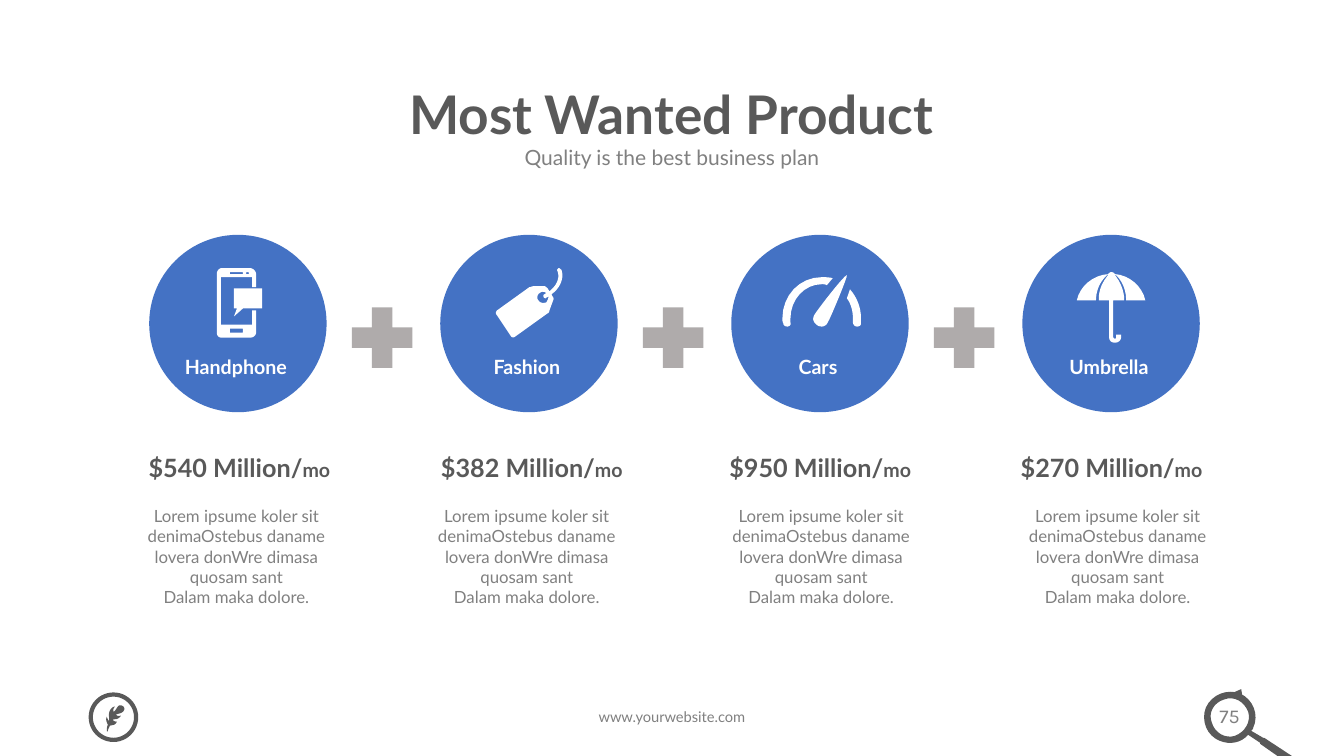
import pptx
import pptx.dml.color
import pptx.enum.shapes
import pptx.enum.text
import pptx.util

Inches = pptx.util.Inches
RGBColor = pptx.dml.color.RGBColor
MSO_SHAPE = pptx.enum.shapes.MSO_SHAPE
ANCHOR = pptx.enum.text.MSO_ANCHOR
AUTO_SIZE = pptx.enum.text.MSO_AUTO_SIZE

DARK = RGBColor(0x59, 0x59, 0x59)
GRAY = RGBColor(0x80, 0x80, 0x80)
SILVER = RGBColor(0xAF, 0xAB, 0xAB)
BLUE = RGBColor(0x44, 0x72, 0xC4)
WHITE = RGBColor(0xFF, 0xFF, 0xFF)

FIRST_CIRCLE, LAST_CIRCLE = 1.48, 10.14
PITCH = (LAST_CIRCLE - FIRST_CIRCLE) / 3
CURVE_STEPS = 8
BODY = ["Lorem ipsume koler sit denimaOstebus daname lovera donWre dimasa quosam sant",
        "Dalam maka dolore."]

# Outlines in slide inches: M starts a contour, L adds lines, C adds cubic curves.
PHONE = """M 2.5 3.22 L 2.19 3.22 2.19 2.75 2.5 2.75 2.5 2.85 2.54 2.85 2.54 2.72
C 2.54 2.69 2.51 2.66 2.48 2.66 L 2.2 2.66 C 2.17 2.66 2.15 2.69 2.15 2.72
L 2.15 3.3 C 2.15 3.33 2.17 3.35 2.2 3.35 L 2.48 3.35 C 2.51 3.35 2.54 3.33 2.54 3.3
L 2.54 3.08 2.5 3.08
M 2.45 2.7 C 2.46 2.7 2.47 2.7 2.47 2.71 2.47 2.72 2.46 2.72 2.45 2.72
2.45 2.72 2.44 2.72 2.44 2.71 2.44 2.7 2.45 2.7 2.45 2.7
M 2.28 2.7 L 2.41 2.7 2.41 2.72 2.28 2.72
M 2.41 3.3 L 2.28 3.3 2.28 3.26 2.41 3.26"""
SPEECH = "M 2.32 3.06 L 2.35 3.06 2.32 3.14 2.41 3.06 2.6 3.06 2.6 2.86 2.32 2.86"
TAG = """M 5.42 3 C 5.39 3.01 5.36 3.01 5.34 2.98 5.32 2.96 5.33 2.92 5.35 2.91
5.37 2.89 5.4 2.89 5.42 2.91 5.41 2.91 5.4 2.92 5.4 2.92 5.39 2.92 5.39 2.93 5.39 2.94
5.39 2.95 5.4 2.96 5.41 2.96 5.41 2.96 5.42 2.96 5.42 2.95 5.43 2.95 5.43 2.95 5.44 2.94
5.44 2.96 5.43 2.98 5.42 3
M 5.57 2.68 C 5.56 2.67 5.55 2.66 5.54 2.66 5.53 2.67 5.52 2.68 5.53 2.69
5.56 2.78 5.5 2.85 5.45 2.89 L 5.43 2.86 C 5.42 2.85 5.41 2.84 5.4 2.84 L 5.29 2.84
C 5.28 2.84 5.26 2.85 5.25 2.85 L 4.93 3.08 C 4.92 3.09 4.91 3.11 4.93 3.13 L 5.07 3.34
C 5.08 3.35 5.1 3.35 5.11 3.34 L 5.43 3.11 C 5.44 3.11 5.45 3.09 5.45 3.08 L 5.49 2.97
C 5.49 2.96 5.49 2.95 5.48 2.94 L 5.47 2.92 C 5.54 2.87 5.6 2.78 5.57 2.68"""
GAUGE = """M 8.43 2.87 C 8.42 2.9 8.41 2.93 8.4 2.96 8.44 3.01 8.46 3.09 8.46 3.16
8.46 3.18 8.46 3.19 8.46 3.2 8.46 3.22 8.48 3.24 8.5 3.24 8.52 3.24 8.54 3.23 8.54 3.21
8.54 3.19 8.54 3.18 8.54 3.16 8.54 3.05 8.5 2.95 8.43 2.87
M 8.15 2.82 C 8.17 2.82 8.19 2.82 8.2 2.83 8.22 2.81 8.24 2.78 8.26 2.76
8.22 2.75 8.19 2.75 8.15 2.75 7.93 2.75 7.76 2.93 7.76 3.16 7.76 3.18 7.76 3.19 7.77 3.21
7.77 3.23 7.79 3.24 7.81 3.24 7.83 3.24 7.85 3.22 7.84 3.2 7.84 3.19 7.84 3.18 7.84 3.16
7.84 2.97 7.98 2.82 8.15 2.82
M 8.08 3.12 C 8.05 3.17 8.07 3.2 8.11 3.23 8.15 3.25 8.19 3.24 8.21 3.2
8.24 3.15 8.41 2.74 8.4 2.73 8.38 2.72 8.11 3.07 8.08 3.12"""
UMBRELLA = """M 11.17 2.98 L 11.36 2.98 C 11.33 2.84 11.2 2.73 11.06 2.72
11.05 2.71 11.04 2.7 11.02 2.7 11.01 2.7 11 2.71 10.99 2.72 10.84 2.73 10.71 2.84 10.68 2.98
L 10.87 2.98 C 10.87 2.82 10.97 2.74 10.99 2.72 L 10.99 2.73 C 10.88 2.86 10.9 2.98 10.9 2.98
L 11 2.98 11 3.34 C 11 3.38 11.02 3.4 11.06 3.4 11.09 3.4 11.12 3.38 11.12 3.34
L 11.12 3.32 11.07 3.32 11.07 3.34 C 11.07 3.35 11.07 3.36 11.06 3.36
11.05 3.36 11.04 3.35 11.04 3.34 L 11.04 2.98 11.15 2.98
C 11.15 2.98 11.16 2.86 11.06 2.73 L 11.06 2.72 C 11.08 2.74 11.17 2.82 11.17 2.98"""
MAGNIFIER = """M 12.25 7.3 C 12.15 7.33 12.05 7.27 12.02 7.17 11.98 7.07 12.04 6.97 12.14 6.94
12.24 6.9 12.34 6.96 12.38 7.06 12.41 7.16 12.35 7.26 12.25 7.3
M 12.92 7.57 C 12.89 7.55 12.54 7.32 12.54 7.32 L 12.53 7.32 12.41 7.25
C 12.42 7.24 12.43 7.23 12.43 7.22 12.49 7.09 12.43 6.94 12.3 6.88
12.17 6.83 12.02 6.89 11.96 7.02 11.91 7.15 11.97 7.3 12.1 7.35
12.2 7.39 12.31 7.37 12.38 7.29 L 12.5 7.37 12.5 7.38
C 12.5 7.38 12.84 7.62 12.88 7.64 12.9 7.65 12.91 7.64 12.92 7.62 12.92 7.62 12.95 7.6 12.92 7.57"""
FEATHER = """M 1.07 7.25 C 1.07 7.24 1.08 7.22 1.09 7.2 1.12 7.19 1.14 7.2 1.16 7.16
1.14 7.16 1.12 7.15 1.12 7.14 1.12 7.13 1.17 7.15 1.2 7.1 1.16 7.11 1.15 7.09 1.15 7.09
1.17 7.08 1.2 7.08 1.22 7.06 1.23 7.05 1.24 7.03 1.23 7.02 1.23 7.01 1.2 6.99 1.18 7
1.17 7 1.14 7.06 1.13 7.06 1.12 7.06 1.12 7.03 1.14 7.01 1.12 7.01 1.1 7.03 1.09 7.05
1.07 7.08 1.09 7.15 1.08 7.15 1.08 7.16 1.06 7.12 1.06 7.11 1.05 7.13 1.05 7.15 1.07 7.19
1.06 7.21 1.06 7.23 1.06 7.25 1.06 7.26 1.07 7.26 1.07 7.25"""

# Label, price, price left, price width, text left, icon outlines
PRODUCTS = [
    ("Handphone", "$540 Million/", 1.16, 2.43, 1.15, [PHONE, SPEECH]),
    ("Fashion", "$382 Million/", 4.14, 2.27, 4.03, [TAG]),
    ("Cars", "$950 Million/", 7.01, 2.25, 6.95, [GAUGE]),
    ("Umbrella", "$270 Million/", 9.89, 2.27, 9.89, [UMBRELLA]),
]


def contours(outline):
    """Turn an outline into lists of points, with its curves sampled evenly."""
    found, numbers, command = [], [], "M"
    for token in outline.split():
        if token in "MLC":
            command = token
            continue
        numbers.append(float(token))
        if len(numbers) < (6 if command == "C" else 2):
            continue
        pts = list(zip(numbers[::2], numbers[1::2]))
        numbers = []
        if command == "M":
            found.append(pts)
        elif command == "L":
            found[-1] += pts
        else:
            curve = [found[-1][-1]] + pts
            for i in range(1, CURVE_STEPS + 1):
                t = i / CURVE_STEPS
                weights = ((1 - t) ** 3, 3 * t * (1 - t) ** 2, 3 * t * t * (1 - t), t ** 3)
                found[-1].append(tuple(sum(w * pt[axis] for w, pt in zip(weights, curve))
                                       for axis in (0, 1)))
    return [[(Inches(x), Inches(y)) for x, y in pts] for pts in found]


def add_run(p, text, size=12, color=GRAY, bold=False, font="Lato"):
    r = p.add_run()
    r.text = text
    r.font.size = pptx.util.Pt(size)
    r.font.name = font
    r.font.bold = bold
    r.font.color.rgb = color


class SlideBuilder:
    def __init__(self, prs):
        self.s = prs.slides.add_slide(prs.slide_layouts[5])

    def fill_text(self, sp, paragraphs, anchor=ANCHOR.TOP, grow=True, inset=(0.1, 0.05), **fmt):
        """Write paragraphs, each a list of (text, own format) runs."""
        tf = sp.text_frame
        tf.word_wrap = True
        tf.auto_size = AUTO_SIZE.SHAPE_TO_FIT_TEXT if grow else AUTO_SIZE.NONE
        tf.vertical_anchor = anchor
        tf.margin_left = tf.margin_right = Inches(inset[0])
        tf.margin_top = tf.margin_bottom = Inches(inset[1])
        for i, runs in enumerate(paragraphs):
            p = tf.add_paragraph() if i else tf.paragraphs[0]
            p.alignment = pptx.enum.text.PP_ALIGN.CENTER
            for text, own in runs:
                add_run(p, text, **{**fmt, **own})

    def title(self, text, x, y, w, h):
        sp = self.s.shapes.title
        sp.left, sp.top, sp.width, sp.height = map(Inches, (x, y, w, h))
        self.fill_text(sp, [[(text, {})]], ANCHOR.MIDDLE, grow=False, size=38, color=DARK, bold=True)
        sp.text_frame.paragraphs[0].line_spacing = 0.9

    def text(self, paragraphs, x, y, w, h, **fmt):
        sp = self.s.shapes.add_textbox(*map(Inches, (x, y, w, h)))
        self.fill_text(sp, paragraphs, **fmt)

    def paint(self, sp, fill, line=None):
        sp.shadow.inherit = False
        if fill is None:
            sp.fill.background()
        else:
            sp.fill.solid()
            sp.fill.fore_color.rgb = fill
        if line is None:
            sp.line.fill.background()
        else:
            sp.line.color.rgb = line
            sp.line.width = pptx.util.Pt(3)

    def shape(self, kind, x, y, w, h, fill, line=None, adjust=(), rotation=0):
        sp = self.s.shapes.add_shape(kind, *map(Inches, (x, y, w, h)))
        for i, value in enumerate(adjust):
            sp.adjustments[i] = value
        sp.rotation = rotation
        self.paint(sp, fill, line)

    def icon(self, outline, fill):
        first, *others = contours(outline)
        builder = self.s.shapes.build_freeform(*first[0])
        builder.add_line_segments(first[1:], close=True)
        for pts in others:
            builder.move_to(*pts[0])
            builder.add_line_segments(pts[1:], close=True)
        self.paint(builder.convert_to_shape(), fill)


def main():
    prs = pptx.Presentation()
    prs.slide_width, prs.slide_height = Inches(13.33), Inches(7.5)
    slide = SlideBuilder(prs)
    slide.title("Most Wanted Product", 1.66, 0.75, 10, 0.82)
    slide.text([[("Quality is the best business plan", {})]], 2.67, 1.36, 7.99, 0.39,
               inset=(0.13, 0.07), size=15)

    for i, (label, price, price_x, price_w, body_x, outlines) in enumerate(PRODUCTS):
        x = FIRST_CIRCLE + i * PITCH
        slide.shape(MSO_SHAPE.OVAL, x, 2.33, 1.76, 1.76, BLUE)
        slide.text([[(label, {})]], x + 0.32, 3.52, 1.08, 0.24, inset=(0, 0),
                   size=14, color=WHITE, bold=True)
        for outline in outlines:
            slide.icon(outline, WHITE)
        if i < len(PRODUCTS) - 1:
            slide.shape(MSO_SHAPE.CROSS, x + 2.01, 3.05, 0.6, 0.6, SILVER, adjust=[0.33])
        slide.text([[(price, {}), ("mo", {"size": 14})]], price_x, 4.48, price_w, 0.36,
                   anchor=ANCHOR.BOTTOM, grow=False, size=18, color=DARK, bold=True)
        slide.text([[(line, {})] for line in BODY], body_x, 4.97, 2.39, 0.91)

    slide.text([[("www.yourwebsite.com", {})]], 4.25, 6.97, 4.83, 0.29, size=10.5)
    slide.text([[("75", {})]], 11.89, 6.93, 0.61, 0.34, size=14, font="Karla")
    slide.shape(MSO_SHAPE.RIGHT_ARROW, 12.23, 6.83, 0.11, 0.11, DARK,
                adjust=[0.32, 0.64], rotation=298.7)
    slide.icon(MAGNIFIER, DARK)
    slide.shape(MSO_SHAPE.OVAL, 0.9, 6.89, 0.45, 0.45, None, line=DARK)
    slide.icon(FEATHER, DARK)
    prs.save("out.pptx")


if __name__ == "__main__":
    main()
